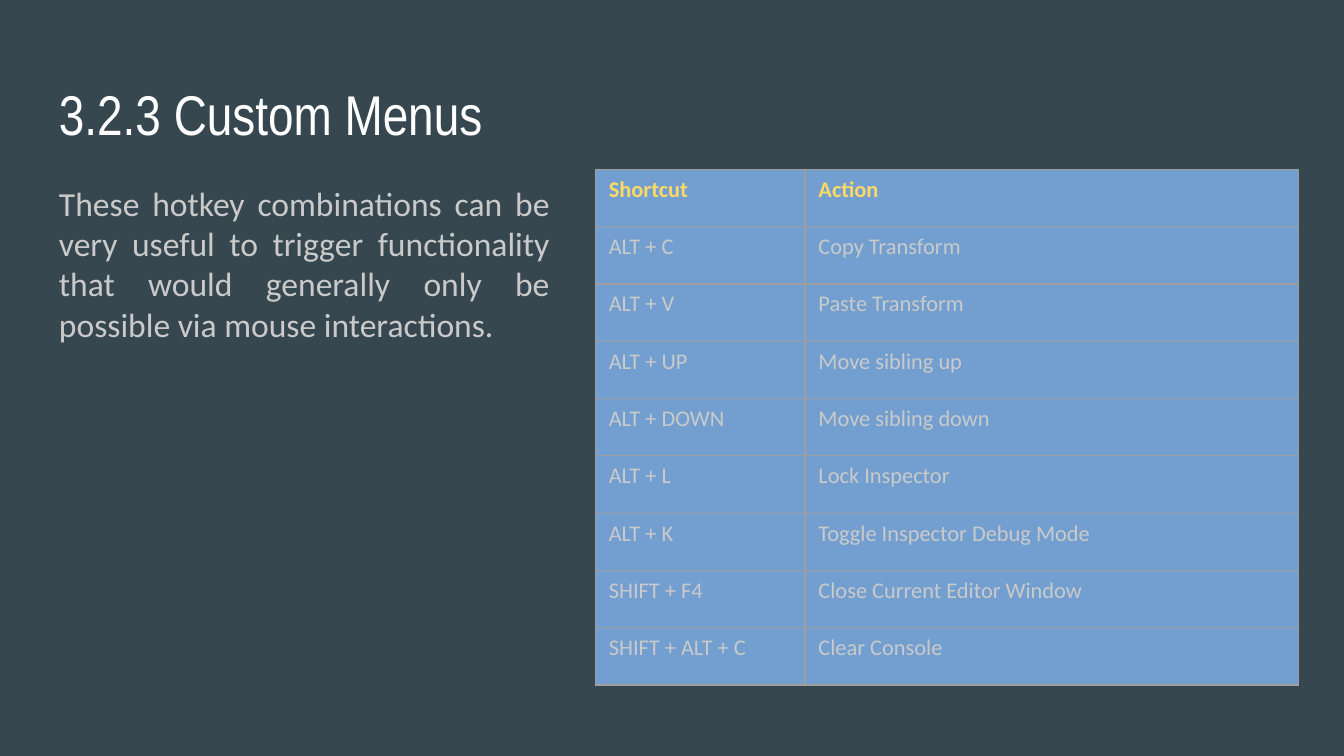
import pptx
import pptx.dml.color
import pptx.enum.text
import pptx.oxml
import pptx.oxml.ns
import pptx.util
from pptx.util import Inches


def color(hex_code):
    return pptx.dml.color.RGBColor.from_string(hex_code)


def write(frame, text, font_name, size, hex_code, bold=False):
    paragraph = frame.paragraphs[0]
    paragraph.text = text
    paragraph.font.name = font_name
    paragraph.font.size = pptx.util.Pt(size)
    paragraph.font.color.rgb = color(hex_code)
    paragraph.font.bold = bold
    return paragraph


# Widescreen slide, 16:9
deck = pptx.Presentation()
deck.slide_width = Inches(10)
deck.slide_height = Inches(10 * 9 / 16)
slide = deck.slides.add_slide(deck.slide_layouts[6])
slide.background.fill.solid()
slide.background.fill.fore_color.rgb = color("37474F")

# Heading and explanation
texts = [
    ("3.2.3 Custom Menus", (0.34, 0.49, 9.32, 0.63), "Arial Narrow", 30, "FFFFFF",
     pptx.enum.text.PP_ALIGN.LEFT),
    ("These hotkey combinations can be very useful to trigger functionality "
     "that would generally only be possible via mouse interactions.",
     (0.34, 1.26, 3.85, 3.74), "Calibri", 18, "CACACA",
     pptx.enum.text.PP_ALIGN.JUSTIFY),
]
for text, place, font_name, size, hex_code, alignment in texts:
    frame = slide.shapes.add_textbox(*map(Inches, place)).text_frame
    frame.word_wrap = True
    frame.margin_left = frame.margin_right = Inches(0.1)
    frame.margin_top = frame.margin_bottom = Inches(0.1)
    write(frame, text, font_name, size, hex_code).alignment = alignment

# Shortcut table
shortcuts = [
    ("Shortcut", "Action"),
    ("ALT + C", "Copy Transform"),
    ("ALT + V", "Paste Transform"),
    ("ALT + UP", "Move sibling up"),
    ("ALT + DOWN", "Move sibling down"),
    ("ALT + L", "Lock Inspector"),
    ("ALT + K", "Toggle Inspector Debug Mode"),
    ("SHIFT + F4", "Close Current Editor Window"),
    ("SHIFT + ALT + C", "Clear Console"),
]
table_height = 3.84
table = slide.shapes.add_table(
    len(shortcuts), 2,
    Inches(4.43), Inches(1.26), Inches(5.23), Inches(table_height)).table
table.columns[0].width = Inches(1.56)
table.columns[1].width = Inches(3.67)

for row, entry in enumerate(shortcuts):
    table.rows[row].height = Inches(table_height / len(shortcuts))
    for column, text in enumerate(entry):
        cell = table.cell(row, column)
        cell.margin_left = cell.margin_right = Inches(0.1)
        cell.margin_top = cell.margin_bottom = Inches(0.05)
        write(cell.text_frame, text, "Calibri", 12,
              "FFD966" if row == 0 else "CACACA", bold=row == 0)

        # Borders come before the fill in the cell properties
        properties = cell._tc.get_or_add_tcPr()
        for side in ("lnL", "lnR", "lnT", "lnB"):
            properties.append(pptx.oxml.parse_xml(
                f'<a:{side} {pptx.oxml.ns.nsdecls("a")} w="{pptx.util.Pt(0.75)}">'
                f'<a:solidFill><a:srgbClr val="9E9E9E"/></a:solidFill></a:{side}>'))
        cell.fill.solid()
        cell.fill.fore_color.rgb = color("729FCF")

deck.save("out.pptx")
